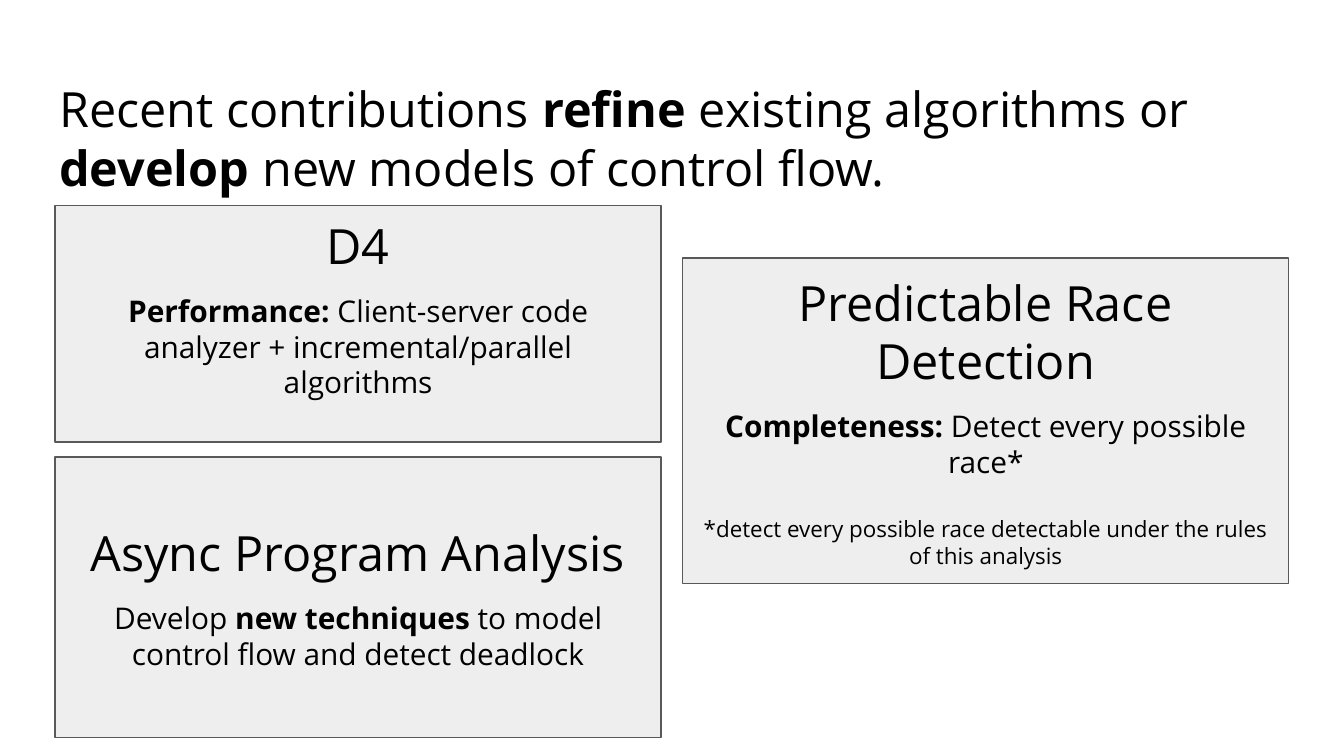
from dataclasses import dataclass

from pptx import Presentation
from pptx.dml.color import RGBColor
from pptx.enum.shapes import MSO_SHAPE
from pptx.enum.text import MSO_ANCHOR, MSO_AUTO_SIZE, PP_ALIGN
from pptx.util import Inches, Pt

FONT = "Open Sans"
HEADING, BODY, NOTE = 26, 16, 12
INSET = 0.1
LEFT, CARD_WIDTH, GUTTER = 0.41, 4.51, 0.16


@dataclass
class Span:
    text: str
    bold: bool = False


@dataclass
class Card:
    column: int
    top: float
    height: float
    heading: str
    body: list[Span]
    footnote: str = ""
    bottom_inset: float = INSET


CARDS = [
    Card(0, 1.53, 1.76, "D4",
         [Span("Performance: ", True),
          Span("Client-server code analyzer + incremental/parallel algorithms")],
         bottom_inset=0.34),
    Card(1, 1.92, 2.42, "Predictable Race Detection",
         [Span("Completeness: ", True), Span("Detect every possible race*")],
         footnote="*detect every possible race detectable under the rules of this analysis"),
    Card(0, 3.4, 2.09, "Async Program Analysis",
         [Span("Develop "), Span("new techniques", True),
          Span(" to model control flow and detect deadlock")]),
]


def color(value: str) -> RGBColor:
    return RGBColor.from_string(value)


def write(para, spans: list[Span], *, size: float, align=PP_ALIGN.CENTER,
          before: float = 0) -> None:
    para.alignment = align
    para.space_before = Pt(before)
    for span in spans:
        run = para.add_run()
        run.text = span.text
        run.font.name = FONT
        run.font.size = Pt(size)
        run.font.bold = span.bold
        run.font.color.rgb = color("000000")


def set_frame(frame, *, anchor, bottom: float = INSET) -> None:
    frame.word_wrap = True
    frame.auto_size = MSO_AUTO_SIZE.NONE
    frame.vertical_anchor = anchor
    frame.margin_left = frame.margin_right = frame.margin_top = Inches(INSET)
    frame.margin_bottom = Inches(bottom)


def add_title(slide, spans: list[Span]) -> None:
    title = slide.shapes.title
    title.left, title.top = Inches(0.34), Inches(0.49)
    title.width, title.height = Inches(9.32), Inches(1.03)
    set_frame(title.text_frame, anchor=MSO_ANCHOR.TOP)
    write(title.text_frame.paragraphs[0], spans, size=HEADING, align=PP_ALIGN.LEFT)


def add_card(slide, card: Card) -> None:
    left = LEFT + card.column * (CARD_WIDTH + GUTTER)
    box = slide.shapes.add_shape(MSO_SHAPE.RECTANGLE, Inches(left), Inches(card.top),
                                 Inches(CARD_WIDTH), Inches(card.height))
    box.shadow.inherit = False
    box.fill.solid()
    box.fill.fore_color.rgb = color("EEEEEE")
    box.line.color.rgb = color("595959")
    box.line.width = Pt(0.75)
    frame = box.text_frame
    set_frame(frame, anchor=MSO_ANCHOR.MIDDLE, bottom=card.bottom_inset)
    write(frame.paragraphs[0], [Span(card.heading)], size=HEADING)
    write(frame.add_paragraph(), card.body, size=BODY, before=10)
    if card.footnote:
        write(frame.add_paragraph(), [Span(card.footnote)], size=NOTE, before=19)


def main() -> None:
    deck = Presentation()
    deck.slide_width = Inches(10)
    deck.slide_height = deck.slide_width * 9 // 16
    slide = deck.slides.add_slide(deck.slide_layouts[5])
    add_title(slide, [Span("Recent contributions "), Span("refine ", True),
                      Span("existing algorithms or "), Span("develop", True),
                      Span(" new models of control flow.")])
    for card in CARDS:
        add_card(slide, card)
    deck.save("out.pptx")


if __name__ == "__main__":
    main()
